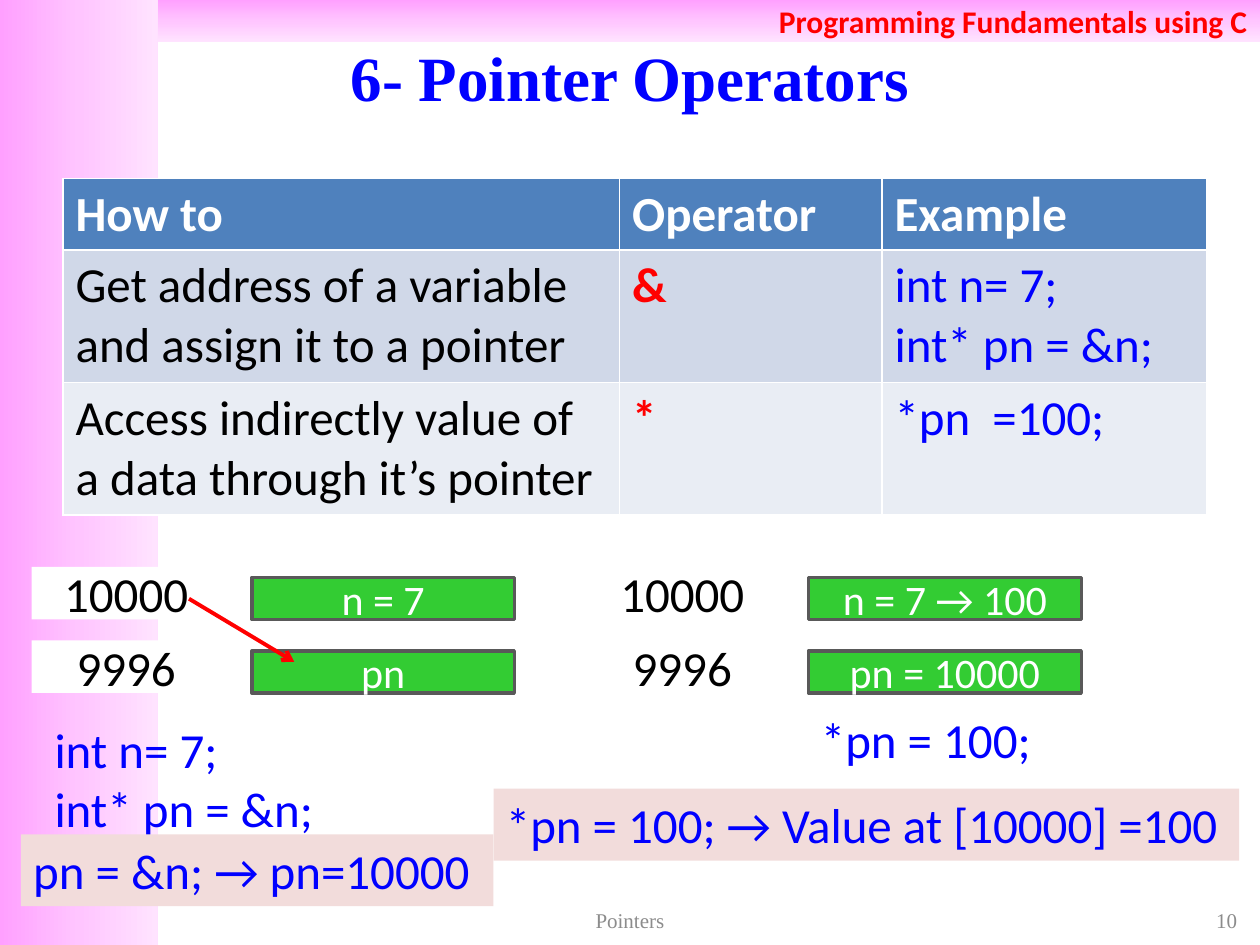
"""Build the slide on C pointer operators with its table and memory cells."""
import copy

import pptx
import pptx.dml.color
import pptx.enum.shapes
import pptx.enum.text
import pptx.oxml
import pptx.oxml.ns
import pptx.util
from pptx.util import Cm

ALIGN = pptx.enum.text.PP_ALIGN
ANCHOR = pptx.enum.text.MSO_ANCHOR
BLUE, RED, WHITE, BLACK, GREY = "0000FF", "FF0000", "FFFFFF", "000000", "8C8C8C"
GREEN, PINK = "33CC33", "F2DCDB"


def color(value):
    return pptx.dml.color.RGBColor.from_string(value)


def add_box(place, text, size, ink, fill=None, align=ALIGN.LEFT,
            anchor=ANCHOR.TOP, font="Calibri", bold=False):
    left, top, width, height = [Cm(value) for value in place]
    if fill:
        box = page.shapes.add_shape(pptx.enum.shapes.MSO_SHAPE.RECTANGLE,
                                    left, top, width, height)
        box.shadow.inherit = False
        box.fill.solid()
        box.fill.fore_color.rgb = color(fill)
        box.line.fill.background()
    else:
        box = page.shapes.add_textbox(left, top, width, height)
    box.text_frame.word_wrap = True
    box.text_frame.vertical_anchor = anchor
    box.text_frame.text = text
    for para in box.text_frame.paragraphs:
        para.alignment = align
        para.font.name = font
        para.font.size = pptx.util.Pt(size)
        para.font.bold = bold
        para.font.color.rgb = color(ink)
    return box


deck = pptx.Presentation()
deck.slide_width, deck.slide_height = Cm(25.4), Cm(19.05)
page = deck.slides.add_slide(deck.slide_layouts[6])

sidebar = add_box((0, 0, 3.18, 19.05), "", 18, RED, WHITE)
banner = add_box((3.18, 0, 22.22, 0.85), "Programming Fundamentals using C", 18, RED,
                 WHITE, ALIGN.RIGHT, ANCHOR.MIDDLE, bold=True)
for band, angle in ((sidebar, 0), (banner, 270)):
    band.fill.gradient()
    band.fill.gradient_angle = angle
    first = band.fill.gradient_stops[0]._gs
    first.addnext(copy.deepcopy(first))
    shades = ((0, "FFA0FF"), (0.5, "FFC5FF"), (1, "FFE3FF"))
    for stop, (position, shade) in zip(band.fill.gradient_stops, shades):
        stop.position = position
        stop.color.rgb = color(shade)

add_box((0, 0.76, 25.4, 1.57), "6- Pointer Operators", 36, BLUE, None, ALIGN.CENTER,
        ANCHOR.MIDDLE, "Times New Roman", True)

rows = [
    ("How to", "Operator", "Example"),
    ("Get address of a variable and assign it to a pointer", "&",
     "int n= 7;\nint* pn = &n;"),
    ("Access indirectly value of a data through it’s pointer ", "*", "*pn  =100;"),
]
row_fills = ("4F81BD", "D0D8E8", "E9EDF4")
table = page.shapes.add_table(3, 3, Cm(1.27), Cm(3.6), Cm(23.06), Cm(6.78)).table
for column, width in zip(table.columns, (11.22, 5.29, 6.55)):
    column.width = Cm(width)
for row, height in zip(table.rows, (1.44, 2.67, 2.67)):
    row.height = Cm(height)
for row_index, texts in enumerate(rows):
    inks = (BLACK, RED, BLUE) if row_index else (WHITE,) * 3
    for column_index, text in enumerate(texts):
        cell = table.cell(row_index, column_index)
        cell.fill.solid()
        cell.fill.fore_color.rgb = color(row_fills[row_index])
        cell.text = text
        for para in cell.text_frame.paragraphs:
            para.font.name = "Calibri"
            para.font.size = pptx.util.Pt(28)
            para.font.bold = row_index == 0 or column_index == 1
            para.font.color.rgb = color(inks[column_index])

memory_states = (
    (0.64, 5.08, 5.29, ("n = 7", "pn")),
    (11.85, 16.3, 5.5, ("n = 7 → 100", "pn = 10000")),
)
for label_left, cell_left, cell_width, values in memory_states:
    for index, (address, value) in enumerate(zip(("10000", "9996"), values)):
        top = 11.43 + 1.48 * index
        add_box((label_left, top, 3.81, 1.06), address, 28, BLACK, WHITE,
                ALIGN.CENTER, ANCHOR.MIDDLE)
        memory_cell = add_box((cell_left, top + 0.21, cell_width, 0.85), value, 24,
                              WHITE, GREEN, ALIGN.CENTER, ANCHOR.MIDDLE)
        memory_cell.line.color.rgb = color("595959")
        memory_cell.line.width = pptx.util.Pt(2)

arrow = page.shapes.add_connector(pptx.enum.shapes.MSO_CONNECTOR.STRAIGHT,
                                  Cm(3.81), Cm(12.07), Cm(5.93), Cm(13.34))
arrow.line.color.rgb = color(RED)
arrow.line.width = pptx.util.Pt(2.25)
tail = pptx.oxml.parse_xml(
    '<a:tailEnd %s type="arrow"/>' % pptx.oxml.ns.nsdecls("a"))
arrow.line._get_or_add_ln().append(tail)
effects = pptx.oxml.parse_xml("<a:effectLst %s/>" % pptx.oxml.ns.nsdecls("a"))
arrow._element.spPr.append(effects)

code_notes = (
    ((0.85, 14.39, 7.62, 2.65), "int n= 7;\nint* pn = &n;", None),
    ((16.3, 14.18, 5.08, 1.45), "*pn = 100;", None),
    ((9.95, 15.9, 15.03, 1.45), "*pn = 100; → Value at [10000] =100", PINK),
    ((0.42, 16.82, 9.53, 1.45), "pn = &n; → pn=10000", PINK),
)
for place, text, fill in code_notes:
    add_box(place, text, 28, BLUE, fill)

for left, width, text, align in ((8.68, 8.04, "Pointers", ALIGN.CENTER),
                                 (19.26, 5.93, "10", ALIGN.RIGHT)):
    add_box((left, 18.2, width, 0.7), text, 12, GREY, None, align, ANCHOR.MIDDLE,
            "Times New Roman")

deck.save("out.pptx")
